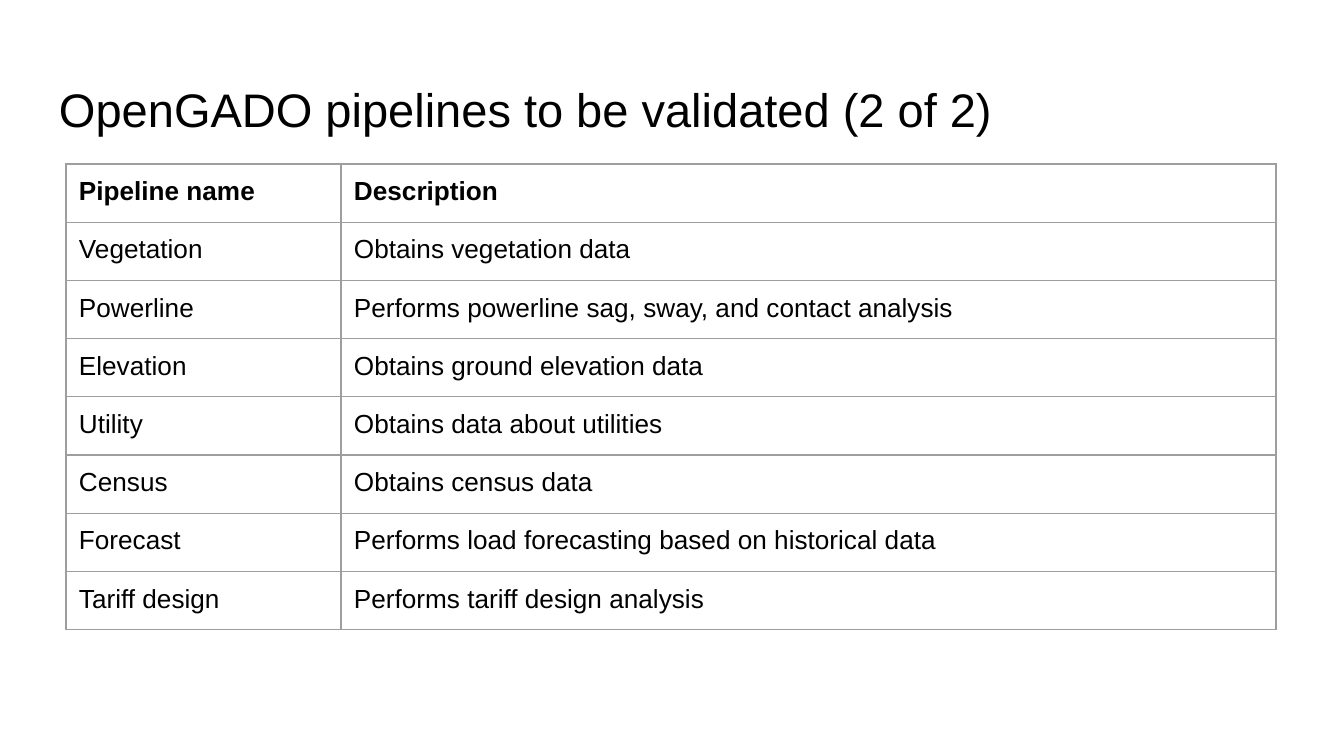
from dataclasses import dataclass

from lxml import etree
from pptx import Presentation
from pptx.dml.color import RGBColor
from pptx.enum.text import MSO_ANCHOR, PP_ALIGN
from pptx.oxml.ns import qn
from pptx.util import Emu, Pt

LEFT = PP_ALIGN.LEFT
TOP = MSO_ANCHOR.TOP
MIDDLE = MSO_ANCHOR.MIDDLE
TITLE_ONLY = 5
EMU_PER_PIXEL = 914400 / 134.4
BORDER_SIDES = ("a:lnL", "a:lnR", "a:lnT", "a:lnB")


@dataclass(frozen=True)
class Theme:
    font: str = "Arial"
    text: str = "000000"
    border: str = "9E9E9E"
    background: str = "FFFFFF"
    title_size: float = 25.2
    table_size: float = 14
    border_width: float = 0.75


@dataclass(frozen=True)
class Pipeline:
    name: str
    description: str


THEME = Theme()
HEADER = Pipeline("Pipeline name", "Description")
PIPELINES = [
    Pipeline("Vegetation", "Obtains vegetation data"),
    Pipeline("Powerline", "Performs powerline sag, sway, and contact analysis"),
    Pipeline("Elevation", "Obtains ground elevation data"),
    Pipeline("Utility", "Obtains data about utilities"),
    Pipeline("Census", "Obtains census data"),
    Pipeline("Forecast", "Performs load forecasting based on historical data"),
    Pipeline("Tariff design", "Performs tariff design analysis"),
]
COLUMN_WIDTHS = (275, 935)
TABLE_HEIGHT = 466
INSET = 13


def px(pixels: float) -> Emu:
    return Emu(round(pixels * EMU_PER_PIXEL))


def set_insets(target) -> None:
    """Give a cell or text frame the same inset on every side."""
    for side in ("left", "right", "top", "bottom"):
        setattr(target, f"margin_{side}", px(INSET))


def style_paragraph(para, size: float, bold: bool = False) -> None:
    para.alignment = LEFT
    para.font.name = THEME.font
    para.font.size = Pt(size)
    para.font.bold = bold
    para.font.color.rgb = RGBColor.from_string(THEME.text)


def add_borders(cell) -> None:
    """Draw the four cell borders, placed ahead of the cell fill."""
    properties = cell._tc.get_or_add_tcPr()
    for index, side in enumerate(BORDER_SIDES):
        line = etree.Element(qn(side), w=str(Pt(THEME.border_width)))
        fill = etree.SubElement(line, qn("a:solidFill"))
        etree.SubElement(fill, qn("a:srgbClr"), val=THEME.border)
        properties.insert(index, line)


def fill_cell(cell, text: str, bold: bool) -> None:
    cell.text = text
    cell.vertical_anchor = TOP
    cell.fill.background()
    set_insets(cell)
    style_paragraph(cell.text_frame.paragraphs[0], THEME.table_size, bold)
    add_borders(cell)


def add_title(page, text: str) -> None:
    title = page.shapes.title
    title.left, title.top, title.width, title.height = map(px, (46, 66, 1252, 85))
    frame = title.text_frame
    frame.text = text
    frame.word_wrap = True
    frame.vertical_anchor = MIDDLE
    set_insets(frame)
    style_paragraph(frame.paragraphs[0], THEME.title_size)


def add_pipeline_table(page, pipelines: list[Pipeline]) -> None:
    entries = [HEADER, *pipelines]
    table = page.shapes.add_table(
        len(entries), len(COLUMN_WIDTHS),
        px(66), px(164), px(sum(COLUMN_WIDTHS)), px(TABLE_HEIGHT),
    ).table
    table.horz_banding = False
    for column, width in zip(table.columns, COLUMN_WIDTHS):
        column.width = px(width)
    for row, entry in zip(table.rows, entries):
        row.height = px(TABLE_HEIGHT / len(entries))
        for cell, text in zip(row.cells, (entry.name, entry.description)):
            fill_cell(cell, text, bold=entry is HEADER)


# Page
deck = Presentation()
deck.slide_width, deck.slide_height = px(1344), px(756)
page = deck.slides.add_slide(deck.slide_layouts[TITLE_ONLY])
page.background.fill.solid()
page.background.fill.fore_color.rgb = RGBColor.from_string(THEME.background)

# Content
add_title(page, "OpenGADO pipelines to be validated (2 of 2)")
add_pipeline_table(page, PIPELINES)

deck.save("out.pptx")
